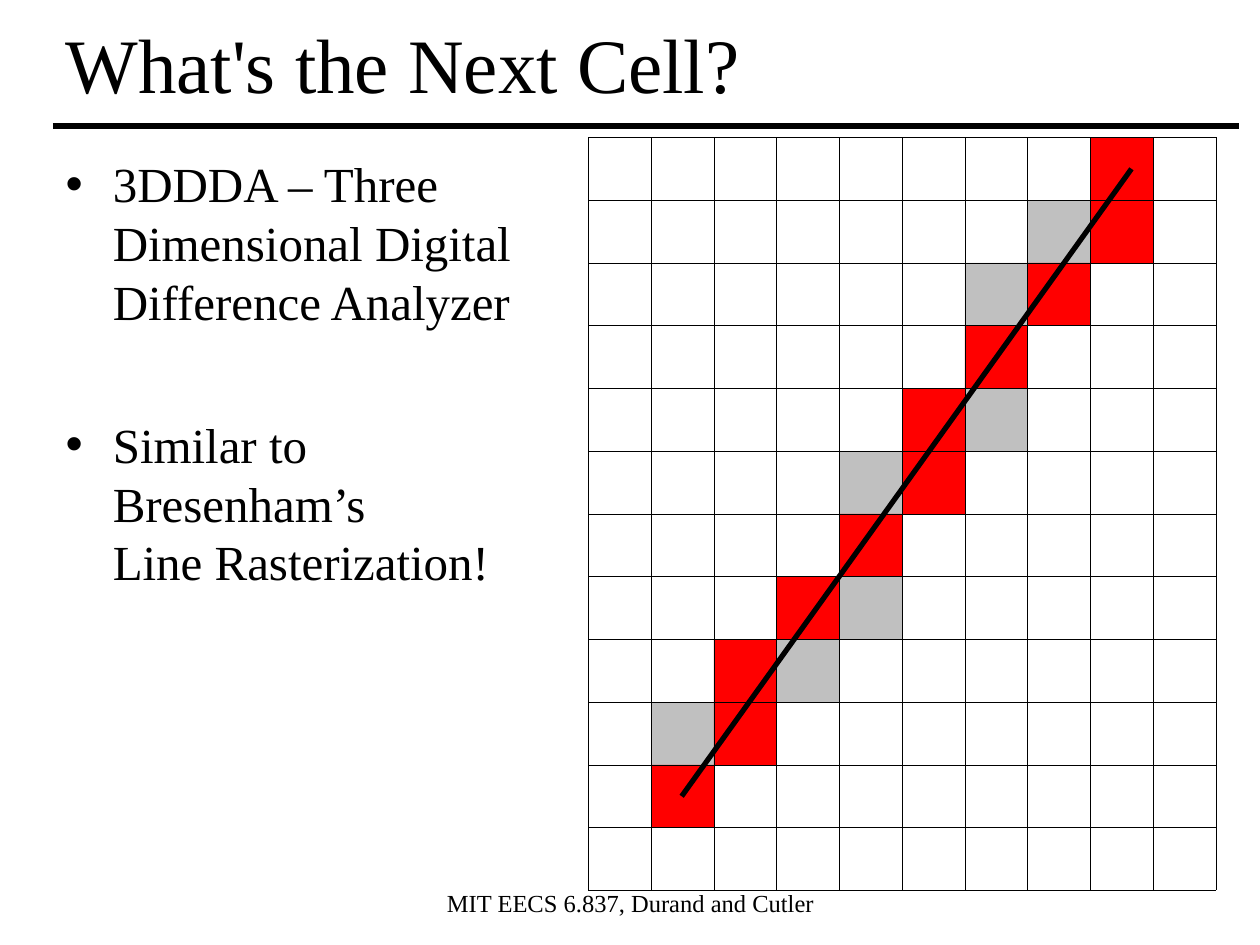
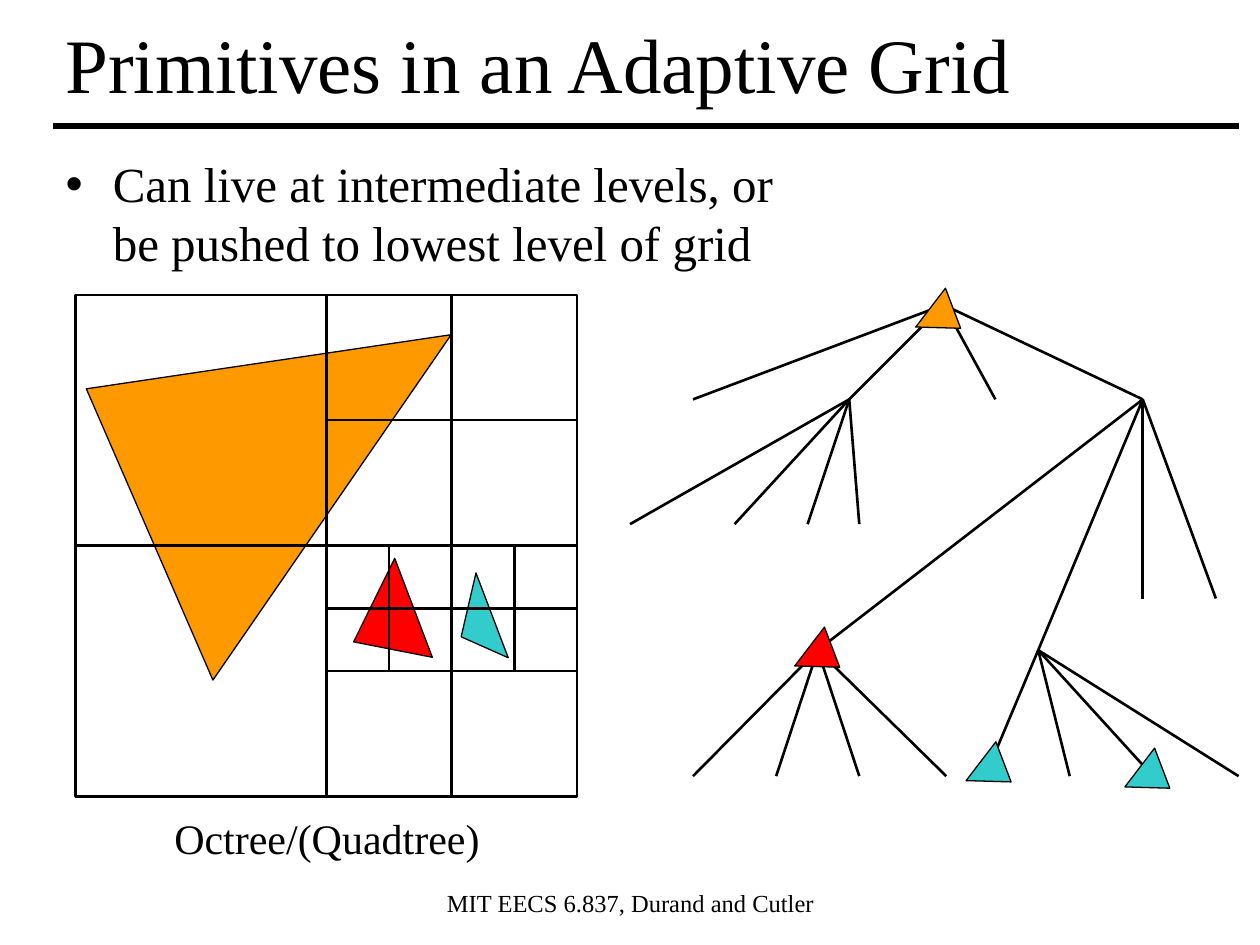
from dataclasses import dataclass

from lxml.etree import SubElement
from pptx import Presentation
from pptx.dml.color import RGBColor
from pptx.enum.shapes import MSO_CONNECTOR, MSO_SHAPE
from pptx.enum.text import MSO_ANCHOR, MSO_AUTO_SIZE, PP_ALIGN
from pptx.oxml.ns import qn
from pptx.util import Emu, Pt

EMU_PER_PX = 9144


@dataclass(frozen=True)
class Theme:
    """Colours, font, type sizes and line widths shared by the slides."""

    font: str = "Times New Roman"
    black: str = "000000"
    red: str = "FF0000"
    grey: str = "C0C0C0"
    orange: str = "FF9900"
    teal: str = "33CCCC"
    title_size: int = 44
    body_size: int = 28
    caption_size: int = 24
    footer_size: int = 14
    heavy_line: float = 3
    medium_line: float = 1.5
    outline: float = 0.75
    hairline: float = 0.25


THEME = Theme()

CELL = 49.8
GRID_LEFT, GRID_TOP = 467, 109
GRID_COLUMNS, GRID_ROWS = 10, 12
VISITED_CELLS = [(1, 10), (2, 9), (2, 8), (3, 7), (4, 6), (5, 5),
                 (5, 4), (6, 3), (7, 2), (8, 1), (8, 0)]
CANDIDATE_CELLS = [(1, 9), (3, 8), (4, 7), (4, 5), (6, 4), (6, 2), (7, 1)]

QUADTREE_LEFT, QUADTREE_TOP, QUADTREE_SIDE = 60, 234, 398
QUADTREE_SPLITS = [(4, 0, 4, 8), (0, 4, 8, 4), (6, 0, 6, 8), (4, 2, 8, 2),
                   (4, 6, 8, 6), (4, 5, 8, 5), (5, 4, 5, 6), (7, 4, 7, 6)]

TREE = {
    (749, 242): [(550, 317), (907, 317), (674, 317), (790, 317)],
    (674, 317): [(500, 416), (583, 416), (682, 416), (641, 416)],
    (907, 317): [(649, 516), (824, 516), (965, 475), (907, 475)],
    (824, 516): [(782, 616), (849, 616), (983, 616), (915, 616)],
    (649, 516): [(550, 616), (616, 616), (751, 616), (682, 616)],
}


def px(length):
    """Turn a length in px into EMU."""
    return Emu(round(length * EMU_PER_PX))


def box(left, top, width, height):
    """Turn a position and size in px into EMU."""
    return [px(length) for length in (left, top, width, height)]


def style_paragraph(paragraph, size, alignment=PP_ALIGN.LEFT):
    """Align a paragraph and format its runs."""
    paragraph.alignment = alignment
    for run in paragraph.runs:
        run.font.name = THEME.font
        run.font.size = Pt(size)
        run.font.color.rgb = RGBColor.from_string(THEME.black)


def place(shape, left, top, width, height):
    """Move and size a placeholder."""
    shape.left, shape.top, shape.width, shape.height = box(left, top, width, height)
    shape.text_frame.word_wrap = True
    shape.text_frame.auto_size = MSO_AUTO_SIZE.NONE


def add_line(slide, start, end, width):
    """Draw a straight black line."""
    line = slide.shapes.add_connector(
        MSO_CONNECTOR.STRAIGHT, *[px(length) for length in (*start, *end)])
    line.line.color.rgb = RGBColor.from_string(THEME.black)
    line.line.width = Pt(width)
    SubElement(line._element.spPr, qn("a:effectLst"))


def add_preset(slide, kind, bounds, fill=None, line_width=None):
    """Draw a preset shape with an optional fill and black outline."""
    shape = slide.shapes.add_shape(kind, *box(*bounds))
    shape.shadow.inherit = False
    if fill:
        shape.fill.solid()
        shape.fill.fore_color.rgb = RGBColor.from_string(fill)
    else:
        shape.fill.background()
    if line_width:
        shape.line.color.rgb = RGBColor.from_string(THEME.black)
        shape.line.width = Pt(line_width)
    else:
        shape.line.fill.background()
    return shape


def add_triangle(slide, bounds, fill, rotation=249.2):
    """Draw a mirrored, rotated triangle primitive."""
    triangle = add_preset(slide, MSO_SHAPE.ISOSCELES_TRIANGLE, bounds, fill, THEME.outline)
    triangle.adjustments[0] = 0.6
    triangle.rotation = rotation
    triangle._element.spPr.xfrm.set("flipH", "1")


def add_label(slide, text, bounds, size):
    """Add a centred line of text."""
    label = slide.shapes.add_textbox(*box(*bounds))
    label.text_frame.word_wrap = True
    label.text_frame.text = text
    style_paragraph(label.text_frame.paragraphs[0], size, PP_ALIGN.CENTER)


def add_bullets(slide, bullets, width):
    """Fill the body placeholder with a bulleted list."""
    body = slide.placeholders[1]
    place(body, 42, 117, width, 574)
    body.text_frame.text = "\n".join(bullets)
    for index, paragraph in enumerate(body.text_frame.paragraphs):
        paragraph.space_before = Pt(48 if index else 0)
        style_paragraph(paragraph, THEME.body_size)


def add_base_slide(presentation, title):
    """Add a slide with the shared footer, rule and title."""
    slide = presentation.slides.add_slide(presentation.slide_layouts[1])
    add_label(slide, "MIT EECS 6.837, Durand and Cutler", (342, 700, 317, 57),
              THEME.footer_size)
    add_line(slide, (42, 100), (983, 100), THEME.heavy_line)
    place(slide.shapes.title, 42, 0, 941, 99)
    frame = slide.shapes.title.text_frame
    frame.vertical_anchor = MSO_ANCHOR.MIDDLE
    frame.text = title
    style_paragraph(frame.paragraphs[0], THEME.title_size)
    return slide


def add_cells(slide, cells, fill):
    """Fill the given (column, row) cells of the ray grid."""
    for column, row in cells:
        bounds = (GRID_LEFT + column * CELL, GRID_TOP + row * CELL, CELL, CELL)
        add_preset(slide, MSO_SHAPE.RECTANGLE, bounds, fill)


def add_ray_grid(slide):
    """Draw the cells, the grid lines and the ray crossing them."""
    add_cells(slide, CANDIDATE_CELLS, THEME.grey)
    add_cells(slide, VISITED_CELLS, THEME.red)
    right = GRID_LEFT + GRID_COLUMNS * CELL
    bottom = GRID_TOP + GRID_ROWS * CELL
    for column in range(GRID_COLUMNS + 1):
        x = GRID_LEFT + column * CELL
        add_line(slide, (x, GRID_TOP), (x, bottom), THEME.hairline)
    for row in range(GRID_ROWS + 1):
        y = GRID_TOP + row * CELL
        add_line(slide, (GRID_LEFT, y), (right, y), THEME.hairline)
    add_line(slide, (541, 632), (898, 134), THEME.heavy_line)


def add_quadtree(slide):
    """Draw the primitives under the adaptive grid, with its caption."""
    add_triangle(slide, (9, 235, 333, 214), THEME.orange, 304.6)
    add_triangle(slide, (261, 465, 84, 54), THEME.red)
    add_triangle(slide, (341, 479, 72, 29), THEME.teal)
    add_preset(slide, MSO_SHAPE.RECTANGLE,
               (QUADTREE_LEFT, QUADTREE_TOP, QUADTREE_SIDE, QUADTREE_SIDE),
               line_width=THEME.medium_line)
    eighth = QUADTREE_SIDE / 8
    for x1, y1, x2, y2 in QUADTREE_SPLITS:
        start = (QUADTREE_LEFT + x1 * eighth, QUADTREE_TOP + y1 * eighth)
        end = (QUADTREE_LEFT + x2 * eighth, QUADTREE_TOP + y2 * eighth)
        add_line(slide, start, end, THEME.medium_line)
    add_label(slide, "Octree/(Quadtree)", (102, 640, 315, 50), THEME.caption_size)


def add_tree(slide):
    """Draw the tree branches and mark the nodes that hold primitives."""
    for parent, children in TREE.items():
        for child in children:
            add_line(slide, parent, child, THEME.medium_line)
    markers = [(724, 234, THEME.orange), (890, 599, THEME.teal),
               (628, 503, THEME.red), (764, 594, THEME.teal)]
    for left, top, fill in markers:
        add_triangle(slide, (left, top, 34, 33), fill)


def main():
    """Build both slides and save the presentation."""
    presentation = Presentation()
    presentation.slide_width, presentation.slide_height = px(1000), px(750)

    next_cell = add_base_slide(presentation, "What's the Next Cell?")
    add_bullets(next_cell, ["3DDDA – Three Dimensional Digital \vDifference Analyzer",
                            "Similar to Bresenham’s \vLine Rasterization!"], 409)
    add_ray_grid(next_cell)

    adaptive = add_base_slide(presentation, "Primitives in an Adaptive Grid")
    add_bullets(adaptive, ["Can live at intermediate levels, or\v"
                           "be pushed to lowest level of grid"], 941)
    add_quadtree(adaptive)
    add_tree(adaptive)

    presentation.save("out.pptx")


if __name__ == "__main__":
    main()
